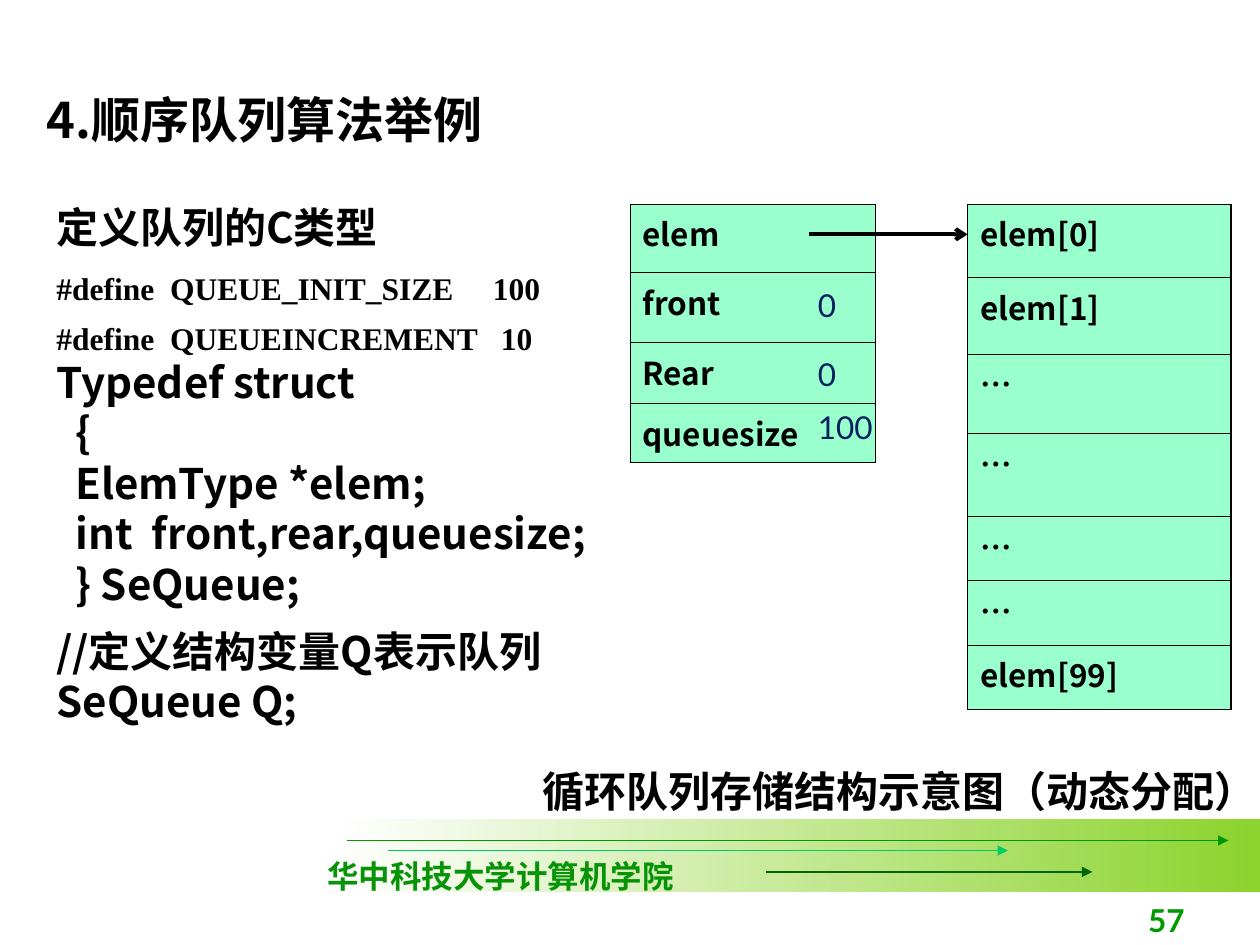
from lxml.etree import SubElement
from pptx import Presentation
from pptx.dml.color import RGBColor
from pptx.enum.shapes import MSO_CONNECTOR, MSO_SHAPE
from pptx.enum.text import MSO_ANCHOR, PP_ALIGN
from pptx.oxml import parse_xml
from pptx.oxml.ns import nsdecls, qn
from pptx.util import Inches, Pt

COLORS = {
    "ink": "000000", "cell": "99FFCC", "value": "002060", "white": "FFFFFF",
    "band": "8CD32D", "school": "069406", "green": "009900",
    "mint": "00CC66", "forest": "006600",
}
CJK, LATIN, SERIF = "Noto Sans CJK SC", "Lato", "Times New Roman"
NO_STYLE = "{2D5ABB26-0587-4C30-8999-92F81FD0307C}"
THIN, THICK = 0.45, 1.08

LABEL = {"size": 18, "name": CJK, "color": "ink", "bold": True}
VALUE = {"size": 18, "name": LATIN, "color": "value", "bold": False}
HEADING = LABEL | {"size": 28}
BODY = LABEL | {"size": 24}
DEFINE = LABEL | {"name": SERIF}
SCHOOL = DEFINE | {"color": "school"}
NUMBER = LABEL | {"name": LATIN, "color": "green"}

# (text, format, space before in points)
CODE = [
    ("定义队列的C类型", BODY, 0),
    ("#define  QUEUE_INIT_SIZE     100", DEFINE, 9.6),
    ("#define  QUEUEINCREMENT   10", DEFINE, 7),
    ("Typedef struct", BODY, 0),
    ("  {", BODY, 0),
    ("  ElemType *elem;", BODY, 0),
    ("  int  front,rear,queuesize;", BODY, 0),
    ("  } SeQueue;", BODY, 0),
    ("//定义结构变量Q表示队列", BODY, 9.6),
    ("SeQueue Q;", BODY, 0),
]


def rgb(key):
    return RGBColor.from_string(COLORS[key])


def write(p, text, style, before=0):
    r = p.add_run()
    r.text = text
    font = {"size": Pt(style["size"]), "name": style["name"], "bold": style["bold"]}
    for key, value in font.items():
        setattr(r.font, key, value)
    r.font.color.rgb = rgb(style["color"])
    SubElement(r.font._element, qn("a:ea"), typeface=CJK)
    if before:
        p.space_before = Pt(before)


def add_text(s, box, lines, wrap=True, anchor=MSO_ANCHOR.TOP, align=PP_ALIGN.LEFT):
    tf = s.shapes.add_textbox(*map(Inches, box)).text_frame
    tf.word_wrap, tf.vertical_anchor = wrap, anchor
    for i, line in enumerate(lines):
        p = tf.paragraphs[0] if i == 0 else tf.add_paragraph()
        p.alignment = align
        write(p, *line)


def add_arrow(s, x1, x2, y, color, width, head="triangle"):
    ends = map(Inches, (x1, y, x2, y))
    line = s.shapes.add_connector(MSO_CONNECTOR.STRAIGHT, *ends)
    line.line.color.rgb, line.line.width = rgb(color), Pt(width)
    SubElement(line.line._get_or_add_ln(), qn("a:tailEnd"), type=head)
    SubElement(line._element.spPr, qn("a:effectLst"))


def set_borders(cell, widths):
    """Give the cell black borders; widths are left, right, top, bottom in points."""
    tcPr = cell._tc.get_or_add_tcPr()
    for i, (side, width) in enumerate(zip("LRTB", widths)):
        tcPr.insert(i, parse_xml(
            f'<a:ln{side} {nsdecls("a")} w="{Pt(width)}"><a:solidFill>'
            f'<a:srgbClr val="{COLORS["ink"]}"/></a:solidFill></a:ln{side}>'))


def add_column(s, x, y, width, heights, texts, style, before=0, borders=None):
    """Add a one-column table; it is filled only when it has borders."""
    box = map(Inches, (x, y, width, sum(heights)))
    table = s.shapes.add_table(len(texts), 1, *box).table
    table.first_row = table.horz_banding = False
    table._tbl.tblPr.find(qn("a:tableStyleId")).text = NO_STYLE
    for row, height, text in zip(table.rows, heights, texts):
        row.height = Inches(height)
        cell = row.cells[0]
        write(cell.text_frame.paragraphs[0], text, style, before)
        if borders:
            cell.fill.solid()
            cell.fill.fore_color.rgb = rgb("cell")
            set_borders(cell, borders)
        else:
            cell.fill.background()


def add_footer(s):
    sp = s.shapes.add_shape(MSO_SHAPE.RECTANGLE, *map(Inches, (2.67, 6.5, 7.33, 0.58)))
    sp.shadow.inherit = False
    sp.line.fill.background()
    sp.fill.gradient()
    sp.fill.gradient_angle = 0
    for stop, position, key in zip(sp.fill.gradient_stops, (0, 1), ("white", "band")):
        stop.position, stop.color.rgb = position, rgb(key)
    add_arrow(s, 2.75, 9.75, 6.67, "green", 0.75)
    add_arrow(s, 3.08, 8, 6.75, "mint", 0.75)
    add_arrow(s, 6.08, 8.67, 6.92, "forest", 0.75)
    add_text(s, (2.5, 6.75, 2.95, 0.4), [("华中科技大学计算机学院", SCHOOL)], wrap=False)
    add_text(s, (7.42, 7, 2.08, 0.5), [("57", NUMBER)],
             anchor=MSO_ANCHOR.BOTTOM, align=PP_ALIGN.RIGHT)


def main():
    prs = Presentation()
    prs.slide_width, prs.slide_height = Inches(10), Inches(7.5)
    s = prs.slides.add_slide(prs.slide_layouts[6])
    add_footer(s)
    add_column(s, 7.68, 1.62, 2.09, [0.58, 0.61, 0.63, 0.66, 0.51, 0.51, 0.51],
               ["elem[0]", "elem[1]", *["…"] * 4, "elem[99]"],
               LABEL, 4.5, (THIN, THICK, THIN, THIN))
    add_text(s, (4.21, 6.03, 5.91, 0.5), [("循环队列存储结构示意图（动态分配）", BODY)])
    add_text(s, (0.27, 0.66, 4.73, 0.57), [("4.顺序队列算法举例", HEADING)])
    add_text(s, (0.35, 1.55, 5.04, 4.27), CODE)
    add_column(s, 5, 1.62, 1.95, [0.54, 0.56, 0.48, 0.47],
               ["elem", "front", "Rear", "queuesize"], LABEL, 4.5, (THIN,) * 4)
    add_arrow(s, 6.42, 7.68, 1.86, "ink", 2.25, "arrow")
    add_column(s, 6.39, 2.22, 0.73, [0.55, 0.42, 0.55], ["0", "0", "100"], VALUE)
    prs.save("out.pptx")


if __name__ == "__main__":
    main()
